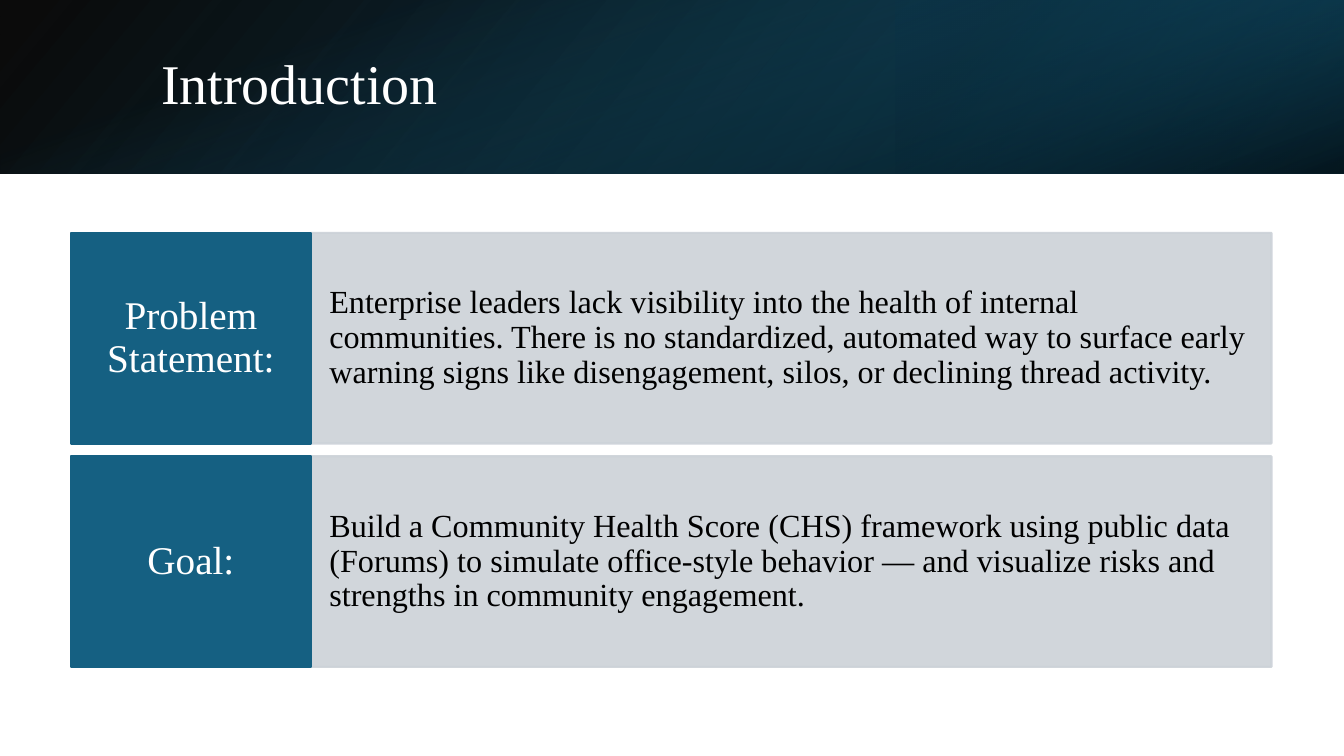
from lxml.etree import SubElement
from pptx import Presentation
from pptx.dml.color import RGBColor
from pptx.enum.shapes import MSO_SHAPE
from pptx.enum.text import MSO_ANCHOR, PP_ALIGN
from pptx.oxml.ns import qn
from pptx.util import Pt

TITLE = "Introduction"
ROWS = [
    ("Problem Statement:",
     "Enterprise leaders lack visibility into the health of internal communities. "
     "There is no standardized, automated way to surface early warning signs like "
     "disengagement, silos, or declining thread activity."),
    ("Goal:",
     "Build a Community Health Score (CHS) framework using public data (Forums) to "
     "simulate office-style behavior — and visualize risks and strengths in "
     "community engagement."),
]
COLORS = {"white": "FFFFFF", "black": "000000", "teal": "156082",
          "deep": "104862", "dark": "0B3041", "gray": "CCD2D8"}
FONT = "Times New Roman"
SLIDE_WIDTH, SLIDE_HEIGHT = 960, 540
HEADER_HEIGHT = 123.84
HEADER_OFFSET = (SLIDE_WIDTH - HEADER_HEIGHT) / 2
HEADER_LAYERS = [
    {"box": (0, 0, SLIDE_WIDTH, HEADER_HEIGHT), "flip": True, "rotation": 0,
     "angle": 140, "stops": [(0, "black", 96), (100, "deep", 100)]},
    {"box": (640, 0, 320, HEADER_HEIGHT), "flip": True, "rotation": 180,
     "angle": 320, "stops": [(19, "dark", 68), (100, "teal", 79)]},
    {"box": (HEADER_OFFSET, -HEADER_OFFSET, HEADER_HEIGHT, SLIDE_WIDTH),
     "flip": False, "rotation": 90,
     "angle": 340, "stops": [(23, "teal", 0), (99, "black", 74)]},
]
LABEL_LEFT, LABEL_WIDTH, BODY_WIDTH = 50.5, 171.7, 686
ROW_TOP, ROW_HEIGHT, ROW_STEP = 166.3, 150.5, 159.6


def set_alpha(color_element, percent):
    SubElement(color_element, qn("a:alpha")).set("val", str(percent * 1000))


def add_rectangle(slide, box):
    shape = slide.shapes.add_shape(MSO_SHAPE.RECTANGLE, *map(Pt, box))
    shape.shadow.inherit = False
    return shape


def add_header_layer(slide, layer):
    shape = add_rectangle(slide, layer["box"])
    shape.line.fill.background()
    shape.rotation = layer["rotation"]
    properties = shape._element.spPr
    if layer["flip"]:
        properties.find(qn("a:xfrm")).set("flipH", "1")
    shape.fill.gradient()
    gradient = properties.find(qn("a:gradFill"))
    stop_list = gradient.find(qn("a:gsLst"))
    for stop in list(stop_list):
        stop_list.remove(stop)
    for position, color, alpha in layer["stops"]:
        stop = SubElement(stop_list, qn("a:gs"), pos=str(position * 1000))
        set_alpha(SubElement(stop, qn("a:srgbClr"), val=COLORS[color]), alpha)
    direction = gradient.find(qn("a:lin"))
    direction.set("ang", str(layer["angle"] * 60000))
    direction.set("scaled", "0")


def add_panel(slide, box, color, alpha=100):
    shape = add_rectangle(slide, box)
    shape.line.width = Pt(1.5)
    for fill in (shape.fill, shape.line.fill):
        fill.solid()
        fill.fore_color.rgb = RGBColor.from_string(COLORS[color])
    if alpha < 100:
        for color_element in shape._element.spPr.iter(qn("a:srgbClr")):
            set_alpha(color_element, alpha)
    return shape


def write_text(shape, text, size, color, align=PP_ALIGN.LEFT, margins=(7.2, 3.6)):
    frame = shape.text_frame
    frame.word_wrap = True
    frame.vertical_anchor = MSO_ANCHOR.MIDDLE
    frame.margin_left = frame.margin_right = Pt(margins[0])
    frame.margin_top = frame.margin_bottom = Pt(margins[1])
    paragraph = frame.paragraphs[0]
    paragraph.alignment = align
    paragraph.line_spacing = 0.9
    run = paragraph.add_run()
    run.text = text
    run.font.name = FONT
    run.font.size = Pt(size)
    run.font.color.rgb = RGBColor.from_string(COLORS[color])


def main():
    presentation = Presentation()
    presentation.slide_width = Pt(SLIDE_WIDTH)
    presentation.slide_height = Pt(SLIDE_HEIGHT)
    slide = presentation.slides.add_slide(presentation.slide_layouts[6])

    for layer in HEADER_LAYERS:
        add_header_layer(slide, layer)
    title = slide.shapes.add_textbox(Pt(108), Pt(27.4), Pt(790.6), Pt(69))
    write_text(title, TITLE, 40, "white")

    for index, (label, statement) in enumerate(ROWS):
        top = ROW_TOP + index * ROW_STEP
        body_box = (LABEL_LEFT + LABEL_WIDTH, top, BODY_WIDTH, ROW_HEIGHT)
        body = add_panel(slide, body_box, "gray", alpha=90)
        write_text(body, statement, 23, "black", margins=(13, 38))
        label_box = (LABEL_LEFT, top, LABEL_WIDTH, ROW_HEIGHT)
        heading = add_panel(slide, label_box, "teal")
        write_text(heading, label, 28, "white", align=PP_ALIGN.CENTER,
                   margins=(9.4, 15))

    presentation.save("out.pptx")


if __name__ == "__main__":
    main()
